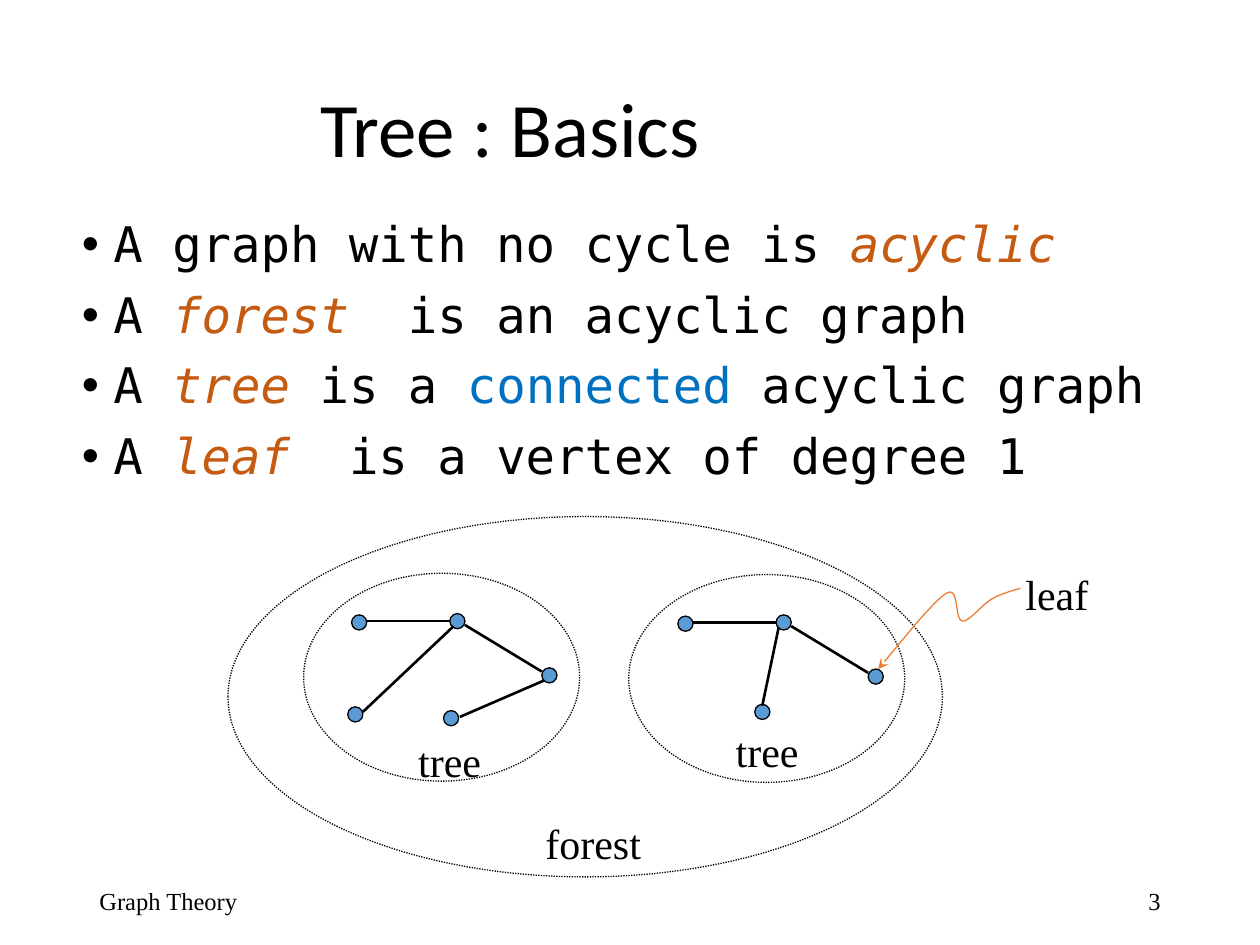
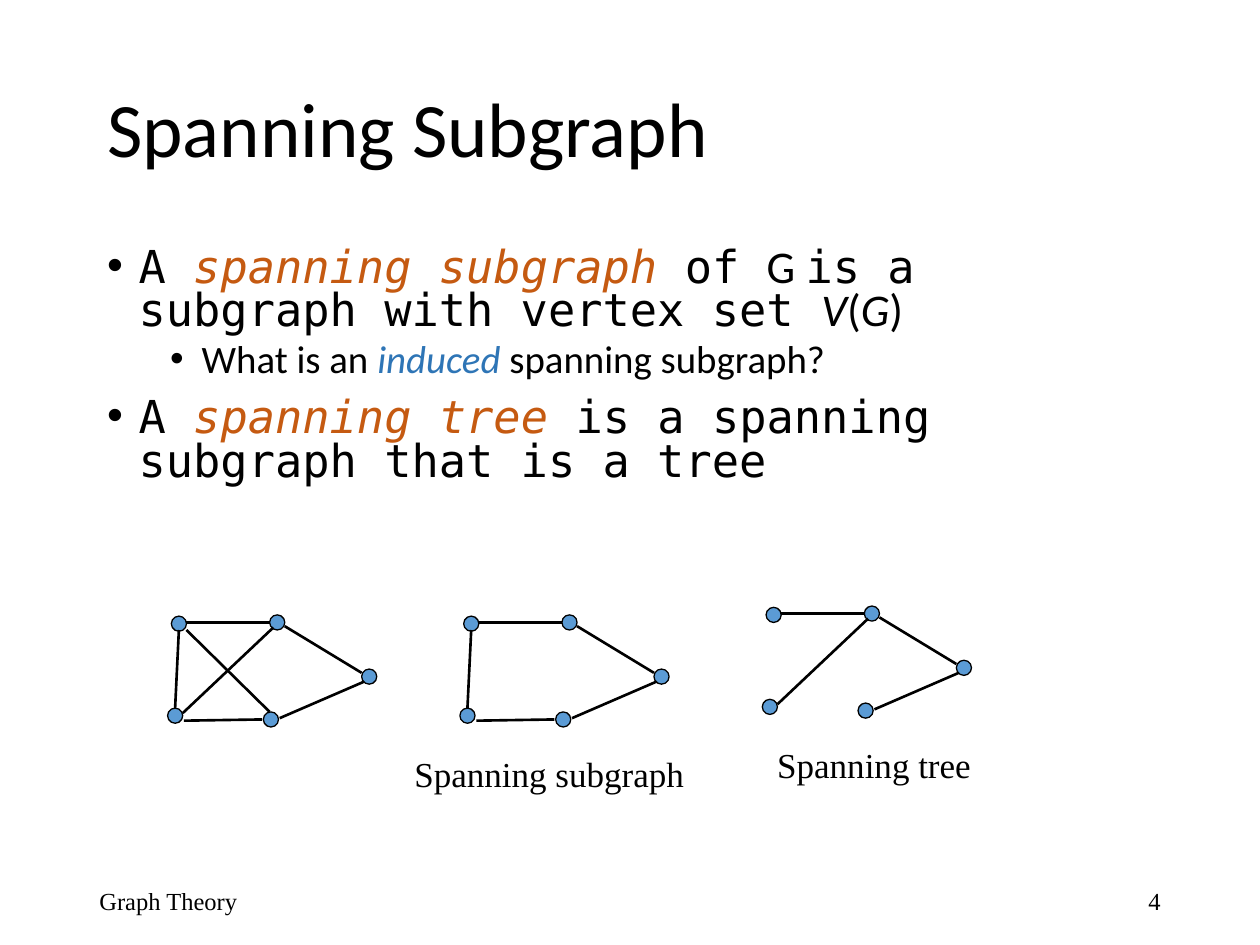
from dataclasses import dataclass
from typing import NamedTuple

from lxml.etree import SubElement
from pptx import Presentation
from pptx.dml.color import RGBColor
from pptx.enum.dml import MSO_LINE
from pptx.enum.shapes import MSO_CONNECTOR, MSO_SHAPE
from pptx.enum.text import MSO_ANCHOR, MSO_AUTO_SIZE, PP_ALIGN
from pptx.oxml.ns import qn
from pptx.util import Inches, Pt


@dataclass(frozen=True)
class Theme:
    black: str = "000000"
    rust: str = "C55A11"
    blue: str = "0070C0"
    steel: str = "2E75B6"
    node: str = "5B9BD5"
    arrow: str = "ED7D31"
    sans: str = "Calibri"
    mono: str = "DejaVu Sans Mono"
    serif: str = "Times New Roman"
    title: float = 44
    list_big: float = 28
    list_mid: float = 25.9
    list_sub: float = 22.2
    label_big: float = 24
    label_mid: float = 20
    foot: float = 14
    thin: float = 0.75
    thick: float = 1.5


THEME = Theme()


class Box(NamedTuple):
    left: float
    top: float
    width: float
    height: float


class Span(NamedTuple):
    text: str
    color: str = THEME.black
    italic: bool = False
    font: str = THEME.mono


class Item(NamedTuple):
    spans: list[Span]
    size: float
    level: int = 0


class Label(NamedTuple):
    text: str
    box: Box
    size: float


class Graph(NamedTuple):
    """Corner of node a, then the nodes and edges shown."""
    left: float
    top: float
    nodes: str
    edges: str


DOT = 0.12
# Offsets from the corner of node a
NODES = {"a": (0, 0), "b": (0.78, -0.01), "c": (1.51, 0.42),
         "d": (-0.03, 0.73), "e": (0.73, 0.76), "f": (0.61, 0.7)}
EDGES = {
    "ab": (0.12, 0.05, 0.78, 0.05),
    "bc": (0.9, 0.08, 1.51, 0.45),
    "ce": (1.53, 0.52, 0.86, 0.81),
    "bd": (0.81, 0.09, 0.09, 0.77),
    "ad": (0.06, 0.11, 0.03, 0.73),
    "de": (0.1, 0.83, 0.72, 0.82),
    "ae": (0.12, 0.11, 0.78, 0.76),
    "bf": (0.8, 0.09, 0.67, 0.71),
}
TREE = "ab bc ce bd"

FOREST = [Graph(2.79, 4.88, "abcde", TREE),
          Graph(5.38, 4.89, "abcf", "ab bc bf")]
SPANS = [Graph(1.36, 4.89, "abcde", "ab bc ce bd ad de ae"),
         Graph(3.68, 4.89, "abcde", "ab bc ce ad de"),
         Graph(6.08, 4.82, "abcde", TREE)]
RINGS = [Box(2.41, 4.55, 2.19, 1.65), Box(4.99, 4.56, 2.19, 1.65),
         Box(1.81, 4.1, 5.67, 2.86)]
LEAF = [(6.97, 5.31), (7.06, 5.21), (7.4, 4.77), (7.51, 4.71),
        (7.62, 4.64), (7.57, 4.92), (7.64, 4.93),
        (7.7, 4.93), (7.8, 4.79), (7.88, 4.75),
        (7.95, 4.71), (8.06, 4.68), (8.1, 4.67)]

BASICS = [
    Item([Span("A graph with no cycle is "), Span("acyclic", THEME.rust, True)],
         THEME.list_big),
    Item([Span("A "), Span("forest ", THEME.rust, True),
          Span(" is an acyclic graph")], THEME.list_big),
    Item([Span("A "), Span("tree", THEME.rust, True), Span(" is a "),
          Span("connected", THEME.blue), Span(" acyclic graph")],
         THEME.list_big),
    Item([Span("A "), Span("leaf ", THEME.rust, True),
          Span(" is a vertex of degree 1")], THEME.list_big),
]
SUBGRAPH = [
    Item([Span("A "), Span("spanning subgraph ", THEME.rust, True),
          Span("of "), Span("G ", font=THEME.sans),
          Span("is a subgraph with vertex set "),
          Span("V", italic=True, font=THEME.sans),
          Span("(", font=THEME.sans),
          Span("G", italic=True, font=THEME.sans),
          Span(")", font=THEME.sans)], THEME.list_mid),
    Item([Span("What is an ", font=THEME.sans),
          Span("induced", THEME.steel, True, THEME.sans),
          Span(" spanning subgraph?", font=THEME.sans)], THEME.list_sub, 1),
    Item([Span("A "), Span("spanning tree ", THEME.rust, True),
          Span("is a spanning subgraph that is a tree")], THEME.list_mid),
]


def place(shape, box: Box) -> None:
    shape.left, shape.top, shape.width, shape.height = map(Inches, box)


def rgb(color: str) -> RGBColor:
    return RGBColor.from_string(color)


def stroke(line, color: str, width: float) -> None:
    line.color.rgb = rgb(color)
    line.width = Pt(width)


def write(para, span: Span, size: float) -> None:
    run = para.add_run()
    run.text = span.text
    font = run.font
    font.name, font.size, font.italic = span.font, Pt(size), span.italic
    font.color.rgb = rgb(span.color)


def add_text(slide, label: Label, align=PP_ALIGN.LEFT,
             anchor=MSO_ANCHOR.TOP) -> None:
    frame = slide.shapes.add_textbox(*map(Inches, label.box)).text_frame
    frame.word_wrap = True
    frame.vertical_anchor = anchor
    para = frame.paragraphs[0]
    para.alignment = align
    write(para, Span(label.text, font=THEME.serif), label.size)


def add_title(slide, text: str, box: Box) -> None:
    shape = slide.shapes.title
    place(shape, box)
    frame = shape.text_frame
    frame.auto_size = MSO_AUTO_SIZE.NONE
    frame.vertical_anchor = MSO_ANCHOR.MIDDLE
    para = frame.paragraphs[0]
    para.alignment, para.line_spacing = PP_ALIGN.LEFT, 0.9
    write(para, Span(text, font=THEME.sans), THEME.title)


def add_list(slide, items: list[Item], box: Box, pitch: float) -> None:
    shape = slide.placeholders[1]
    place(shape, box)
    frame = shape.text_frame
    frame.auto_size = MSO_AUTO_SIZE.NONE
    for rank, item in enumerate(items):
        para = frame.add_paragraph() if rank else frame.paragraphs[0]
        para.level = item.level
        para.line_spacing = pitch
        para.space_before = Pt((5 if item.level else 10) if rank else 0)
        props = para._p.get_or_add_pPr()
        props.set("marL", str(Inches(0.25 + 0.5 * item.level)))
        props.set("indent", str(Inches(-0.25)))
        SubElement(props, qn("a:buFont")).set("typeface", "Arial")
        SubElement(props, qn("a:buChar")).set("char", "•")
        for span in item.spans:
            write(para, span, item.size)


def add_oval(slide, box: Box):
    oval = slide.shapes.add_shape(MSO_SHAPE.OVAL, *map(Inches, box))
    oval.shadow.inherit = False
    stroke(oval.line, THEME.black, THEME.thin)
    return oval


def add_ring(slide, box: Box) -> None:
    ring = add_oval(slide, box)
    ring.fill.background()
    ring.line.dash_style = MSO_LINE.ROUND_DOT


def add_graph(slide, graph: Graph) -> None:
    for name in graph.nodes:
        x, y = NODES[name]
        dot = add_oval(slide, Box(graph.left + x, graph.top + y, DOT, DOT))
        dot.fill.solid()
        dot.fill.fore_color.rgb = rgb(THEME.node)
    for name in graph.edges.split():
        x1, y1, x2, y2 = EDGES[name]
        ends = (graph.left + x1, graph.top + y1,
                graph.left + x2, graph.top + y2)
        edge = slide.shapes.add_connector(MSO_CONNECTOR.STRAIGHT,
                                          *map(Inches, ends))
        stroke(edge.line, THEME.black, THEME.thick)
        SubElement(edge._element.spPr, qn("a:effectLst"))


def curve(knots: list[tuple[float, float]], steps: int = 10):
    """Points along a chain of cubic Bezier arcs, after the first knot."""
    points = []
    for start in range(0, len(knots) - 1, 3):
        arc = knots[start:start + 4]
        for step in range(1, steps + 1):
            t = step / steps
            u = 1 - t
            parts = (u ** 3, 3 * u * u * t, 3 * u * t * t, t ** 3)
            points.append(tuple(
                Inches(sum(part * knot[axis] for part, knot in zip(parts, arc)))
                for axis in (0, 1)))
    return points


def add_arrow(slide, knots: list[tuple[float, float]]) -> None:
    pen = slide.shapes.build_freeform(*map(Inches, knots[0]))
    pen.add_line_segments(curve(knots), close=False)
    arrow = pen.convert_to_shape()
    arrow.shadow.inherit = False
    arrow.fill.background()
    stroke(arrow.line, THEME.arrow, THEME.thin)
    SubElement(arrow.line._get_or_add_ln(), qn("a:headEnd")).set("type", "stealth")


def add_slide(deck, number: int):
    slide = deck.slides.add_slide(deck.slide_layouts[1])
    for text, left, align in (("Graph Theory", 0.69, PP_ALIGN.LEFT),
                              (str(number), 7.06, PP_ALIGN.RIGHT)):
        add_text(slide, Label(text, Box(left, 6.95, 2.25, 0.4), THEME.foot),
                 align, MSO_ANCHOR.MIDDLE)
    return slide


def draw_basics(deck) -> None:
    slide = add_slide(deck, 3)
    add_title(slide, "Tree : Basics", Box(2.44, 0.67, 4.99, 0.76))
    add_list(slide, BASICS, Box(0.55, 1.7, 8.72, 2.23), 0.9)
    for graph in FOREST:
        add_graph(slide, graph)
    for ring in RINGS:
        add_ring(slide, ring)
    for text, box in (("tree", Box(3.22, 5.79, 0.72, 0.5)),
                      ("tree", Box(5.74, 5.71, 0.72, 0.5)),
                      ("forest", Box(4.23, 6.44, 1.21, 0.5)),
                      ("leaf", Box(8.04, 4.46, 0.78, 0.5))):
        add_text(slide, Label(text, box, THEME.label_big))
    add_arrow(slide, LEAF)


def draw_spans(deck) -> None:
    slide = add_slide(deck, 4)
    add_title(slide, "Spanning Subgraph", Box(0.75, 0.67, 8.5, 0.76))
    add_list(slide, SUBGRAPH, Box(0.75, 1.92, 8.5, 2.18), 0.8)
    for graph in SPANS:
        add_graph(slide, graph)
    for text, box in (("Spanning subgraph", Box(3.19, 5.92, 2.48, 0.43)),
                      ("Spanning tree", Box(6.07, 5.85, 1.8, 0.43))):
        add_text(slide, Label(text, box, THEME.label_mid))


def main() -> None:
    deck = Presentation()
    deck.slide_width, deck.slide_height = Inches(10), Inches(7.5)
    draw_basics(deck)
    draw_spans(deck)
    deck.save("out.pptx")


if __name__ == "__main__":
    main()
